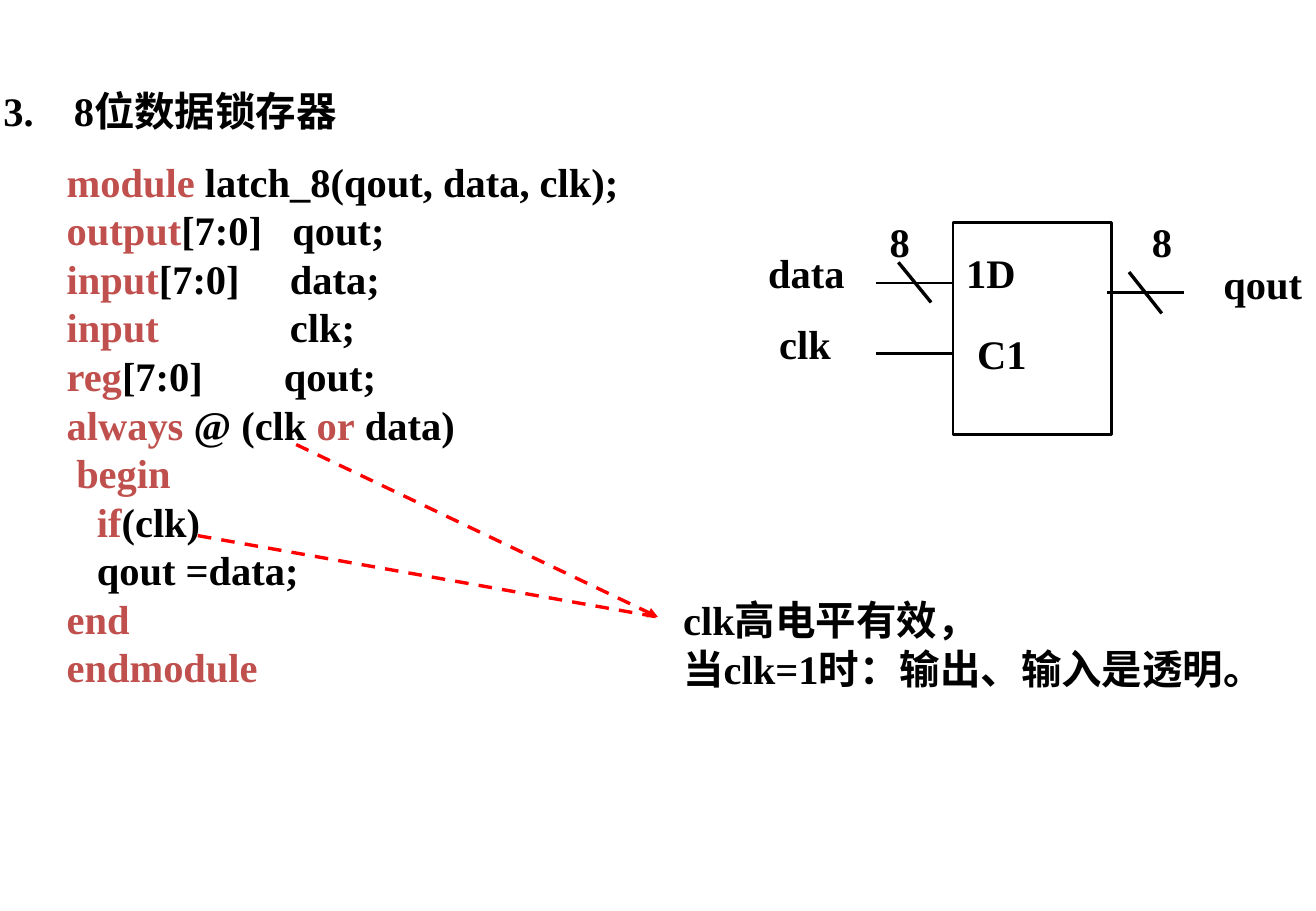
from dataclasses import dataclass

from lxml.etree import SubElement as Sub
from pptx import Presentation
from pptx.dml.color import RGBColor as Rgb
from pptx.enum.dml import MSO_LINE_DASH_STYLE as Dash
from pptx.enum.shapes import MSO_CONNECTOR as Conn, MSO_SHAPE as Shape
from pptx.enum.text import MSO_AUTO_SIZE as Fit
from pptx.oxml.ns import qn
from pptx.slide import Slide
from pptx.util import Pt

PX = 9144  # EMU in one px, 100 px to the inch
COLORS = {"ink": "000000", "key": "C0504D", "hint": "FF0000"}
LATIN, ASIAN = "Times New Roman", "Noto Sans CJK SC"


@dataclass
class Row:
    """One paragraph; words between asterisks are keywords."""
    text: str
    indent: int = 0
    tab: int = 0


@dataclass
class Label:
    text: str
    x: int
    y: int
    w: int


@dataclass
class Wire:
    x1: int
    y1: int
    x2: int
    y2: int
    width: float = 1.75
    color: str = "ink"
    dash: bool = False
    arrow: bool = False


TITLE = [Row("3.\t8位数据锁存器", tab=58)]
CODE = [
    Row("*module* latch_8(qout, data, clk);"),
    Row("*output*[7:0]\tqout;", tab=186),
    Row("*input*[7:0]\tdata;", tab=184),
    Row("*input*\tclk;", tab=184),
    Row("*reg*[7:0]\tqout;", tab=179),
    Row("*always* @ (clk *or* data)"),
    Row("*begin*", indent=8),
    Row("*if*(clk)", indent=25),
    Row("qout =data;", indent=25),
    Row("*end*"),
    Row("*endmodule*"),
]
NOTE = [Row("clk高电平有效，"), Row("当clk=1时：输出、输入是透明。")]

LABELS = [
    Label("C1", 795, 266, 66),
    Label("1D", 786, 199, 66),
    Label("qout", 998, 208, 90),
    Label("data", 623, 199, 90),
    Label("clk", 632, 258, 70),
    Label("8", 723, 174, 40),
    Label("8", 939, 174, 40),
]
WIRES = [
    Wire(785, 291, 722, 291),
    Wire(785, 233, 722, 233),
    Wire(975, 241, 912, 241),
    Wire(930, 224, 957, 258, width=2),
    Wire(740, 216, 767, 249, width=2),
]
HINTS = [
    Wire(244, 366, 542, 508, width=2, color="hint", dash=True, arrow=True),
    Wire(163, 441, 542, 508, width=2, color="hint", dash=True),
]


def paint(color: str) -> Rgb:
    return Rgb.from_string(COLORS[color])


def write(slide: Slide, rows: list[Row], x: int, y: int, w: int, h: int = 50, *,
          size: int = 24, bold: bool = True) -> None:
    box = slide.shapes.add_textbox(x * PX, y * PX, w * PX, h * PX)
    frame = box.text_frame
    frame.word_wrap = True
    frame.auto_size = Fit.SHAPE_TO_FIT_TEXT
    for i, row in enumerate(rows):
        para = frame.add_paragraph() if i else frame.paragraphs[0]
        props = para._p.get_or_add_pPr()
        if row.indent:
            props.set("marL", str(row.indent * PX))
        if row.tab:
            stops = Sub(props, qn("a:tabLst"))
            Sub(stops, qn("a:tab"), pos=str(row.tab * PX), algn="l")
        for j, part in enumerate(row.text.split("*")):
            if not part:
                continue
            run = para.add_run()
            run.text = part
            font = run.font
            font.name, font.size, font.bold = LATIN, Pt(size), bold
            font.color.rgb = paint("key" if j % 2 else "ink")
            Sub(run._r.get_or_add_rPr(), qn("a:ea"), typeface=ASIAN)


def draw(slide: Slide, wire: Wire) -> None:
    ends = (wire.x1, wire.y1, wire.x2, wire.y2)
    link = slide.shapes.add_connector(Conn.STRAIGHT, *(n * PX for n in ends))
    link.line.width = Pt(wire.width)
    link.line.color.rgb = paint(wire.color)
    if wire.dash:
        link.line.dash_style = Dash.DASH
    if wire.arrow:
        Sub(link.line._get_or_add_ln(), qn("a:tailEnd"), type="triangle")
    Sub(link._element.spPr, qn("a:effectLst"))


def add_latch(slide: Slide) -> None:
    latch = slide.shapes.add_shape(Shape.RECTANGLE, 785 * PX, 183 * PX, 131 * PX, 175 * PX)
    latch.shadow.inherit = False
    latch.fill.background()
    latch.line.color.rgb = paint("ink")
    latch.line.width = Pt(1.75)


def main() -> None:
    deck = Presentation()
    deck.slide_width, deck.slide_height = 1084 * PX, 750 * PX
    slide = deck.slides.add_slide(deck.slide_layouts[6])
    write(slide, TITLE, -7, 66, 319)
    write(slide, CODE, 45, 124, 569, 450)
    add_latch(slide)
    for wire in WIRES:
        draw(slide, wire)
    for label in LABELS:
        write(slide, [Row(label.text)], label.x, label.y, label.w)
    for hint in HINTS:
        draw(slide, hint)
    write(slide, NOTE, 553, 485, 520, 90)
    deck.save("out.pptx")


if __name__ == "__main__":
    main()
